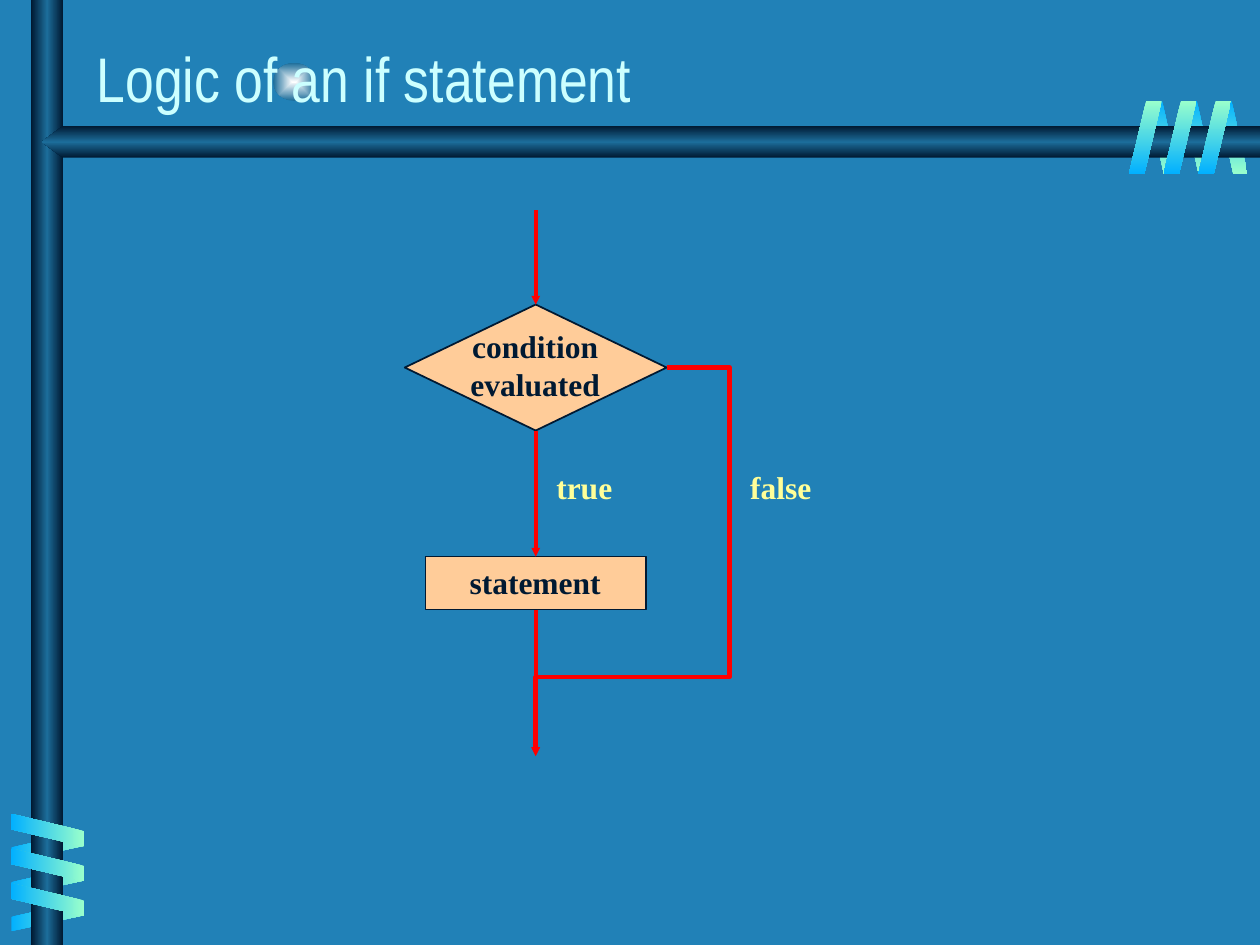
import pptx
import pptx.util
import pptx.dml.color
import pptx.enum.shapes
import pptx.enum.text
import pptx.oxml
import pptx.oxml.ns

Cm = pptx.util.Cm
Pt = pptx.util.Pt
SHAPE = pptx.enum.shapes.MSO_SHAPE
LINK = pptx.enum.shapes.MSO_CONNECTOR
ALIGN = pptx.enum.text.PP_ALIGN
ANCHOR = pptx.enum.text.MSO_ANCHOR
AUTO = pptx.enum.text.MSO_AUTO_SIZE

COLORS = {
    "background": "2181B7", "bar": "1C6D9A", "dark": "001932",
    "glow": "FEFFFF", "mint": "99FFCC", "sky": "01B0FF",
    "title": "CCFFFF", "box": "FFCC99", "label": "FFFF99", "flow": "FF0000",
}
BAR = ("dark", "bar", "dark")
AXIS = 10.8
COIL_STEP = 0.7
NS = pptx.oxml.ns.nsdecls("a")


def rgb(name):
    return pptx.dml.color.RGBColor.from_string(COLORS[name])


def set_all(target, values):
    for name, value in values.items():
        setattr(target, name, value)


class Deck:
    title_font = {"name": "Arial Narrow", "size": Pt(36), "bold": False}
    label_font = {"name": "Times New Roman", "size": Pt(18), "bold": True}
    title_frame = {"word_wrap": True, "vertical_anchor": ANCHOR.BOTTOM}
    label_frame = {"word_wrap": False, "vertical_anchor": ANCHOR.MIDDLE,
                   "auto_size": AUTO.SHAPE_TO_FIT_TEXT}

    def __init__(self):
        self.prs = pptx.Presentation()
        set_all(self.prs, {"slide_width": Cm(25.4), "slide_height": Cm(19.05)})
        self.s = self.prs.slides.add_slide(self.prs.slide_layouts[6])
        fill = self.s.background.fill
        fill.solid()
        fill.fore_color.rgb = rgb("background")

    def shape(self, kind, x, y, w, h):
        sp = self.s.shapes.add_shape(kind, Cm(x), Cm(y), Cm(w), Cm(h))
        sp.shadow.inherit = False
        sp.line.fill.background()
        return sp

    def gradient(self, sp, names, angle=None):
        last = len(names) - 1
        stops = "".join(
            f'<a:gs pos="{100000 * i // last}"><a:srgbClr val="{COLORS[n]}"/></a:gs>'
            for i, n in enumerate(names))
        if angle is None:
            way = ('<a:path path="rect"><a:fillToRect l="50000" t="50000" '
                   'r="50000" b="50000"/></a:path>')
        else:
            way = f'<a:lin ang="{angle * 60000}" scaled="0"/>'
        sp.element.spPr.insert(2, pptx.oxml.parse_xml(
            f'<a:gradFill {NS} rotWithShape="1"><a:gsLst>{stops}</a:gsLst>{way}</a:gradFill>'))

    def coil(self, x, y, dx, dy, width, names, angle, rotation=0, flip=False):
        for i in range(3):
            sp = self.shape(SHAPE.PARALLELOGRAM, x + i * dx, y + i * dy, width, 1.47)
            sp.adjustments[0] = 0.53
            sp.rotation = rotation
            if flip:
                sp.element.spPr.xfrm.set("flipH", "1")
            self.gradient(sp, names, angle)

    def beam(self, points):
        fb = self.s.shapes.build_freeform(Cm(points[0][0]), Cm(points[0][1]))
        fb.add_line_segments([(Cm(x), Cm(y)) for x, y in points[1:]])
        sp = fb.convert_to_shape()
        sp.shadow.inherit = False
        sp.line.fill.background()
        self.gradient(sp, BAR, 90)

    def node(self, kind, y, w, h):
        sp = self.shape(kind, AXIS - w / 2, y, w, h)
        sp.fill.solid()
        sp.fill.fore_color.rgb = rgb("box")
        sp.line.color.rgb = rgb("dark")
        sp.line.width = Pt(1)
        return sp

    def text(self, lines, x, y, w, h, color, font, frame, align):
        tf = self.s.shapes.add_textbox(Cm(x), Cm(y), Cm(w), Cm(h)).text_frame
        set_all(tf, frame)
        for i, line in enumerate(lines):
            p = tf.add_paragraph() if i else tf.paragraphs[0]
            p.alignment = align
            r = p.add_run()
            r.text = line
            set_all(r.font, font)
            r.font.color.rgb = rgb(color)

    def title(self, line, x, y, w, h):
        self.text([line], x, y, w, h, "title", self.title_font, self.title_frame, ALIGN.LEFT)

    def label(self, lines, x, y, w, h, color):
        self.text(lines, x, y, w, h, color, self.label_font, self.label_frame, ALIGN.CENTER)

    def arrow(self, x1, y1, x2, y2, kind=LINK.STRAIGHT, begin=None, end=None):
        c = self.s.shapes.add_connector(kind, Cm(x1), Cm(y1), Cm(x2), Cm(y2))
        if begin is not None:
            c.begin_connect(begin, 2)
        if end is not None:
            c.end_connect(end, 0)
        c.line.color.rgb = rgb("flow")
        c.line.width = Pt(2.5)
        spPr = c.element.spPr
        spPr.find(pptx.oxml.ns.qn("a:ln")).append(
            pptx.oxml.parse_xml(f'<a:tailEnd {NS} type="triangle" w="sm" len="sm"/>'))
        spPr.append(pptx.oxml.parse_xml(f"<a:effectLst {NS}/>"))
        return c

    def bypass(self, x1, y1, x2, y2, out, down):
        geom = self.arrow(x1, y1, x2, y2, LINK.ELBOW).element.spPr.prstGeom
        geom.set("prst", "bentConnector4")
        guides = geom.get_or_add_avLst()
        for name, value in (("adj1", out), ("adj2", down)):
            guides.append(pptx.oxml.parse_xml(
                f'<a:gd {NS} name="{name}" fmla="val {value}"/>'))


def main():
    d = Deck()
    d.gradient(d.shape(SHAPE.OVAL, 5.51, 1.27, 0.84, 0.76), ("glow", "bar"))
    d.coil(23.14, 2.03, COIL_STEP, 0, 0.61, ("sky", "mint"), 90, flip=True)
    d.coil(0.66, 16.33, 0, COIL_STEP, 0.61, ("sky", "mint"), 270, rotation=90, flip=True)
    d.gradient(d.shape(SHAPE.RECTANGLE, 0.63, 0, 0.64, 19.05), BAR, 0)
    d.beam([(25.4, 2.54), (1.27, 2.54), (0.84, 2.86), (1.27, 3.18), (25.4, 3.18)])
    d.coil(0.63, 16, 0, COIL_STEP, 0.66, ("mint", "sky"), 270, rotation=270)
    d.coil(22.76, 2.03, COIL_STEP, 0, 0.66, ("mint", "sky"), 90)
    d.title("Logic of an if statement", 1.7, 0.54, 21.08, 1.9)

    condition = d.node(SHAPE.DIAMOND, 6.14, 5.28, 2.54)
    d.label(["condition", "evaluated"], 9.14, 6.47, 3.3, 1.78, "dark")
    d.arrow(AXIS, 4.24, AXIS, 6.14, end=condition)
    d.bypass(13.44, 7.41, AXIS, 15.24, -48100, 79700)
    d.label(["false"], 14.74, 9.31, 2, 1.02, "label")
    statement = d.node(SHAPE.RECTANGLE, 11.22, 4.44, 1.07)
    d.arrow(AXIS, 12.29, AXIS, 15.24, begin=statement)
    d.label(["statement"], 9.14, 11.23, 3.3, 1.02, "dark")
    d.arrow(AXIS, 8.68, AXIS, 11.22, begin=condition, end=statement)
    d.label(["true"], 10.78, 9.31, 2, 1.02, "label")
    d.prs.save("out.pptx")


if __name__ == "__main__":
    main()
